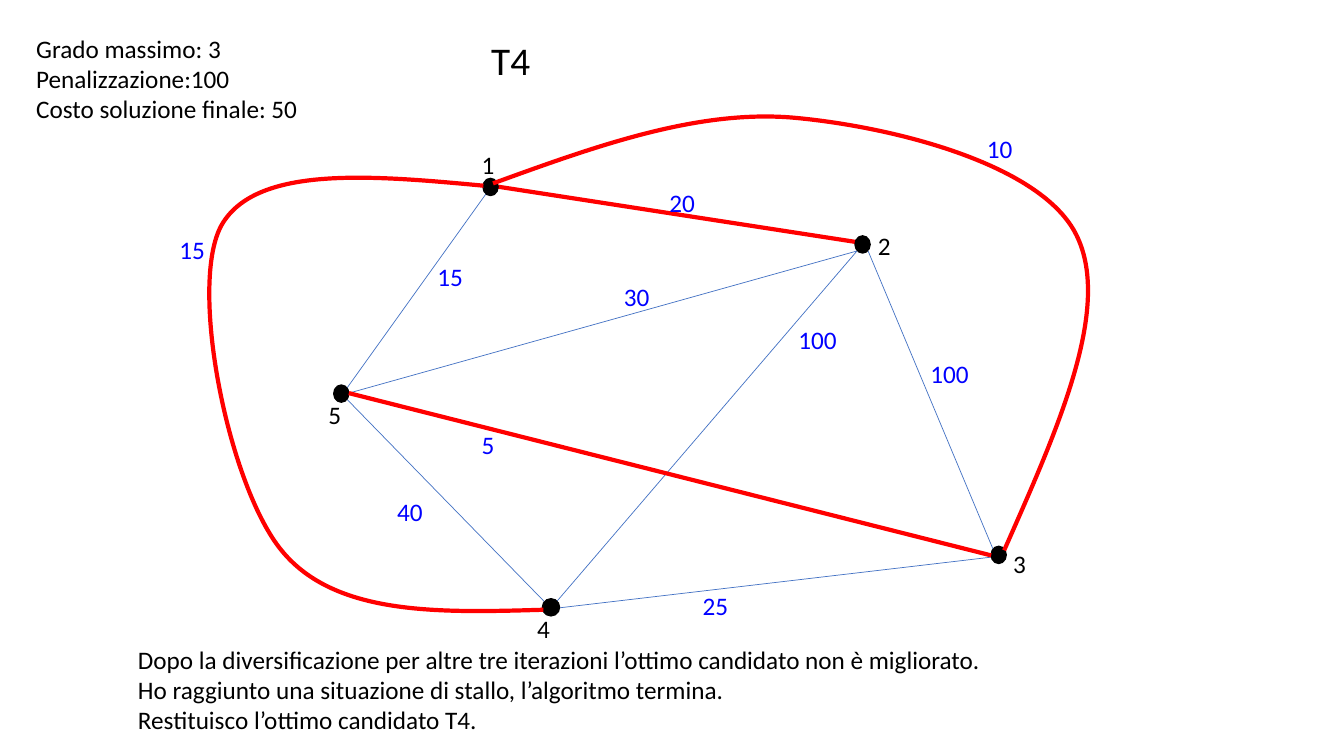
from typing import NamedTuple

from lxml.etree import SubElement
from pptx import Presentation
from pptx.dml.color import RGBColor
from pptx.enum.shapes import MSO_CONNECTOR, MSO_SHAPE
from pptx.enum.text import MSO_AUTO_SIZE, PP_ALIGN
from pptx.oxml.ns import qn
from pptx.util import Inches, Pt

BLACK, RED, THIN_BLUE, COST_BLUE = "000000", "FF0000", "4472C4", "0000FF"
FONT = "Calibri"


class Edge(NamedTuple):
    x1: float
    y1: float
    x2: float
    y2: float
    chosen: bool = False


class Node(NamedTuple):
    x: float
    y: float
    w: float = 0.15
    h: float = 0.17


class Curve(NamedTuple):
    x: float
    y: float
    w: float
    h: float
    points: list[tuple[float, float]]


class Label(NamedTuple):
    text: str
    x: float
    y: float
    w: float
    h: float = 0.4
    color: str = BLACK
    size: int = 18
    align: PP_ALIGN = PP_ALIGN.LEFT


EDGES = [
    Edge(5.55, 6.03, 9.98, 5.51),
    Edge(4.83, 1.91, 3.42, 3.88),
    Edge(4.86, 1.84, 8.55, 2.41, True),
    Edge(8.61, 2.49, 9.85, 5.45),
    Edge(3.44, 3.96, 5.4, 5.97),
    Edge(3.46, 3.9, 8.5, 2.49),
    Edge(5.52, 5.97, 8.5, 2.49),
]
NODES = [
    Node(4.79, 1.77),
    Node(8.48, 2.34),
    Node(9.83, 5.42),
    Node(5.38, 5.94, 0.17),
    Node(3.31, 3.82),
]
EDGE_5_3 = Edge(3.46, 3.9, 9.83, 5.51, True)
NODE_1_INNER = Node(4.8, 1.78, 0.08, 0.14)
CURVE_1_4 = Curve(2.08, 1.76, 3.32, 4.3, [
    (4.87, 1.85), (3.71, 1.74), (2.55, 1.63), (2.2, 2.23), (1.86, 2.83),
    (2.27, 4.84), (2.8, 5.47), (3.33, 6.11), (4.36, 6.08), (5.39, 6.05)])
CURVE_1_3 = Curve(4.89, 1.16, 5.9, 4.3, [
    (4.89, 1.82), (5.91, 1.45), (6.93, 1.08), (7.89, 1.17), (8.86, 1.26),
    (10.34, 1.63), (10.68, 2.34), (11.03, 3.06), (10.49, 4.26), (9.96, 5.46)])

NODE_NAMES = [(4.68, 1.43), (8.61, 2.24), (9.95, 5.39), (5.23, 6.04), (3.16, 3.91)]
COSTS = [
    ("20", 6.54, 1.81), ("15", 4.24, 2.54), ("30", 6.09, 2.74),
    ("100", 7.82, 3.17), ("5", 4.68, 4.21), ("25", 6.87, 5.81),
    ("10", 9.69, 1.27), ("15", 1.68, 2.28), ("40", 3.84, 4.87),
    ("100", 9.13, 3.51),
]
COST_WIDTHS = {1: 0.33, 2: 0.46, 3: 0.59}
SUMMARY = "Grado massimo: 3\nPenalizzazione:100\nCosto soluzione finale: 50"
CONCLUSION = (
    "Dopo la diversificazione per altre tre iterazioni l’ottimo candidato non è migliorato. \n"
    "Ho raggiunto una situazione di stallo, l’algoritmo termina. \n"
    "Restituisco l’ottimo candidato T4."
)
LABELS = [
    *(Label(str(n), x, y, 0.33) for n, (x, y) in enumerate(NODE_NAMES, 1)),
    *(Label(t, x, y, COST_WIDTHS[len(t)], color=COST_BLUE) for t, x, y in COSTS),
    Label(SUMMARY, 0.26, 0.28, 2.82, 1.01),
    Label(CONCLUSION, 1.27, 6.34, 8.71, 1.01),
    Label("T4", 4.77, 0.31, 0.59, 0.57, size=28, align=PP_ALIGN.CENTER),
]


def rgb(value: str) -> RGBColor:
    return RGBColor.from_string(value)


def set_line(line, color: str, width: float) -> None:
    line.color.rgb = rgb(color)
    line.width = Pt(width)


def draw_edge(s, edge: Edge) -> None:
    ends = map(Inches, edge[:4])
    connector = s.shapes.add_connector(MSO_CONNECTOR.STRAIGHT, *ends)
    set_line(connector.line, RED if edge.chosen else THIN_BLUE, 3 if edge.chosen else 0.5)
    SubElement(connector.element.spPr, qn("a:effectLst"))


def draw_node(s, node: Node) -> None:
    sp = s.shapes.add_shape(MSO_SHAPE.OVAL, *map(Inches, node))
    sp.shadow.inherit = False
    sp.fill.solid()
    sp.fill.fore_color.rgb = rgb(BLACK)
    set_line(sp.line, BLACK, 1)


def draw_curve(s, curve: Curve) -> None:
    points = [(Inches(x), Inches(y)) for x, y in curve.points]
    builder = s.shapes.build_freeform(*points[0])
    builder.add_line_segments(points[1:], close=False)
    sp = builder.convert_to_shape()
    sp.left, sp.top, sp.width, sp.height = map(Inches, curve[:4])
    sp.shadow.inherit = False
    sp.fill.background()
    set_line(sp.line, RED, 3)

    outline = next(sp.element.iter(qn("a:path")))
    outline.set("w", str(sp.width))
    outline.set("h", str(sp.height))
    for pt, (x, y) in zip(list(outline.iter(qn("a:pt"))), points):
        pt.set("x", str(x - sp.left))
        pt.set("y", str(y - sp.top))
    segments = outline.findall(qn("a:lnTo"))
    for i in range(0, len(segments), 3):
        bezier = SubElement(outline, qn("a:cubicBezTo"))
        for segment in segments[i:i + 3]:
            bezier.append(segment[0])
            outline.remove(segment)


def draw_label(s, label: Label) -> None:
    box = map(Inches, (label.x, label.y, label.w, label.h))
    tf = s.shapes.add_textbox(*box).text_frame
    tf.text = label.text
    tf.word_wrap = False
    tf.auto_size = MSO_AUTO_SIZE.SHAPE_TO_FIT_TEXT
    for p in tf.paragraphs:
        p.alignment = label.align
        for r in p.runs:
            r.font.name = FONT
            r.font.size = Pt(label.size)
            r.font.color.rgb = rgb(label.color)


prs = Presentation()
prs.slide_width, prs.slide_height = Inches(13.33), Inches(7.5)
s = prs.slides.add_slide(prs.slide_layouts[6])
for edge in EDGES:
    draw_edge(s, edge)
for node in NODES:
    draw_node(s, node)
draw_curve(s, CURVE_1_4)
draw_edge(s, EDGE_5_3)
draw_node(s, NODE_1_INNER)
draw_curve(s, CURVE_1_3)
for label in LABELS:
    draw_label(s, label)
prs.save("out.pptx")
